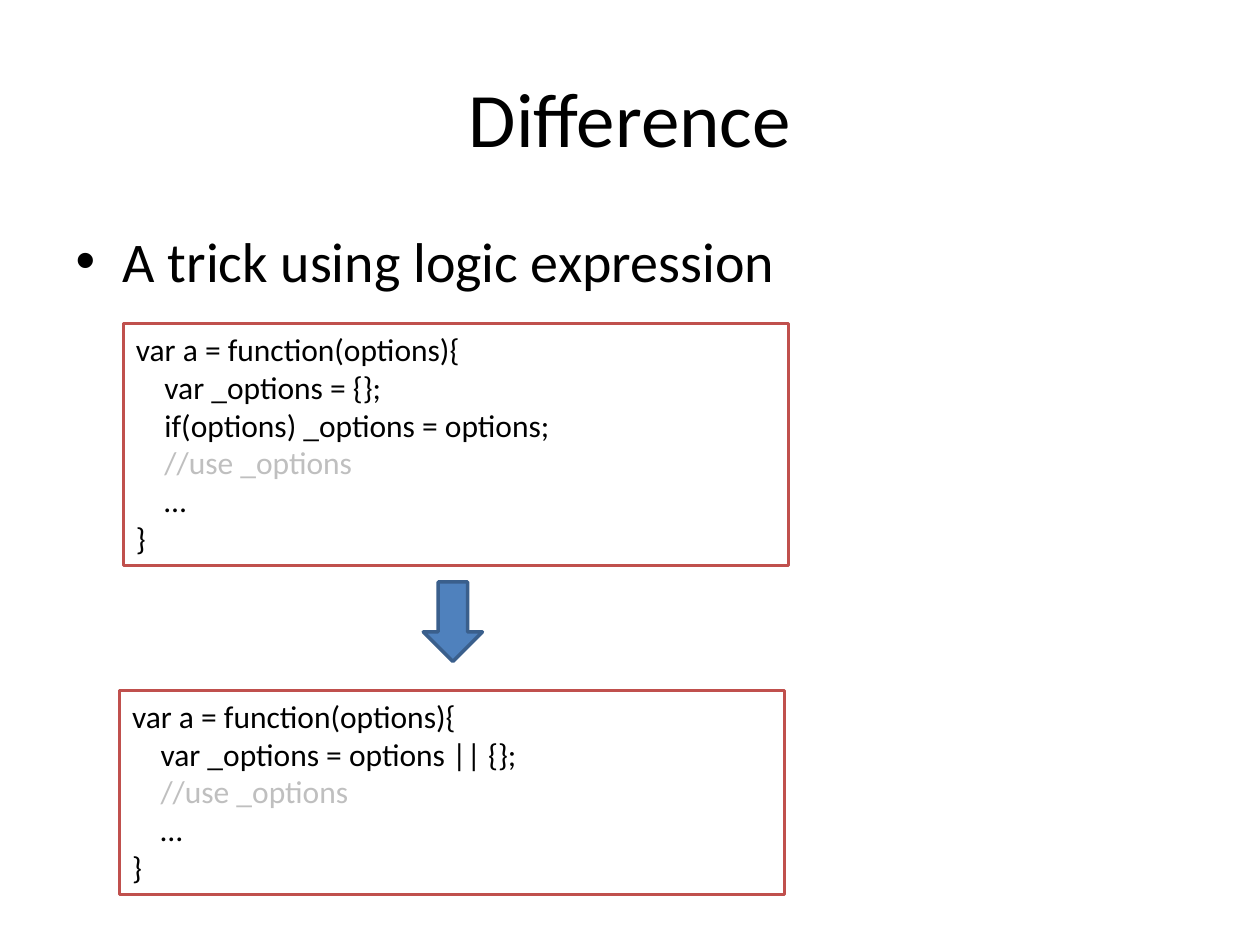
import pptx
import pptx.dml.color
import pptx.enum.shapes
import pptx.enum.text
import pptx.util

Pt = pptx.util.Pt
SHAPES = pptx.enum.shapes.MSO_SHAPE
ALIGN = pptx.enum.text.PP_ALIGN
ANCHOR = pptx.enum.text.MSO_ANCHOR
FONT = "Calibri"
BLACK, WHITE, GREY = "000000", "FFFFFF", "BFBFBF"
RED, BLUE, DARK_BLUE = "C0504D", "4F81BD", "3A5F8C"
CODE_INDENT = 16.3

CODE_BEFORE = [
    (0, "var a = function(options){"),
    (1, "var _options = {};"),
    (1, "if(options) _options = options;"),
    (1, "//use _options"),
    (1, "…"),
    (0, "}"),
]
CODE_AFTER = [
    (0, "var a = function(options){"),
    (1, "var _options = options || {};"),
    (1, "//use _options"),
    (1, "…"),
    (0, "}"),
]


def rgb(color):
    """Turn a hex string into a colour."""
    return pptx.dml.color.RGBColor.from_string(color)


def style(p, size, color=BLACK):
    """Set the font of a paragraph."""
    p.font.name = FONT
    p.font.size = Pt(size)
    p.font.color.rgb = rgb(color)


def fill_placeholder(sp, box, text, size):
    """Place a placeholder and give it one line of text."""
    sp.left, sp.top, sp.width, sp.height = map(Pt, box)
    sp.text_frame.text = text
    p = sp.text_frame.paragraphs[0]
    style(p, size)
    return p


def add_shape(slide, kind, box, fill, line):
    """Add a flat preset shape with a 2 pt outline."""
    sp = slide.shapes.add_shape(kind, *map(Pt, box))
    sp.shadow.inherit = False
    sp.fill.solid()
    sp.fill.fore_color.rgb = rgb(fill)
    sp.line.color.rgb = rgb(line)
    sp.line.width = Pt(2)
    return sp


def add_code(slide, box, lines):
    """Add a framed code listing with indented lines and grey comments."""
    sp = add_shape(slide, SHAPES.RECTANGLE, box, WHITE, RED)
    tf = sp.text_frame
    tf.word_wrap = True
    tf.auto_size = pptx.enum.text.MSO_AUTO_SIZE.SHAPE_TO_FIT_TEXT
    tf.vertical_anchor = ANCHOR.TOP
    for i, (depth, text) in enumerate(lines):
        p = tf.add_paragraph() if i else tf.paragraphs[0]
        p.text = text
        p.alignment = ALIGN.LEFT
        p._p.get_or_add_pPr().set("marL", str(Pt(depth * CODE_INDENT)))
        style(p, 18, GREY if text.startswith("//") else BLACK)


def main():
    """Build the slide and save it."""
    prs = pptx.Presentation()
    prs.slide_width, prs.slide_height = Pt(720), Pt(540)
    slide = prs.slides.add_slide(prs.slide_layouts[1])
    title, body = slide.placeholders

    p = fill_placeholder(title, (36, 21.6, 648, 90), "Difference", 44)
    p.alignment = ALIGN.CENTER
    title.text_frame.vertical_anchor = ANCHOR.MIDDLE
    fill_placeholder(body, (36, 126, 648, 53.3),
                     "A trick using logic expression", 32)

    add_code(slide, (70.6, 185, 380, 138.2), CODE_BEFORE)
    add_code(slide, (68.4, 394.6, 380, 116.6), CODE_AFTER)
    add_shape(slide, SHAPES.DOWN_ARROW, (241.9, 332.6, 33.8, 45.4),
              BLUE, DARK_BLUE)
    prs.save("out.pptx")


main()
